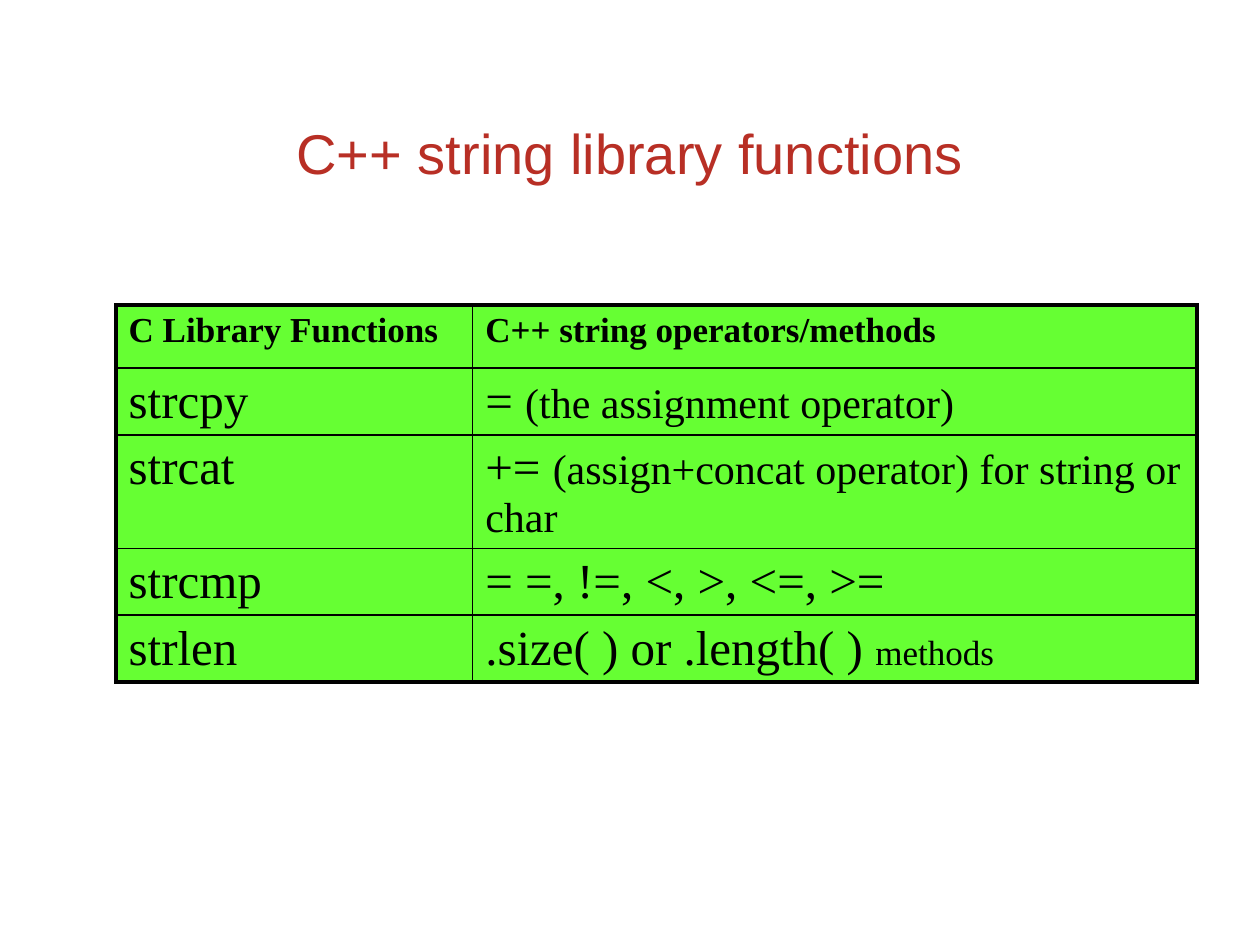
"""Build a slide that matches C string functions with C++ string operators."""
import pptx
import pptx.dml.color
import pptx.enum.text
import pptx.oxml
import pptx.oxml.ns
import pptx.util

Cm = pptx.util.Cm
Pt = pptx.util.Pt
Color = pptx.dml.color.RGBColor

RED = Color(0xB8, 0x2F, 0x25)
GREEN = Color(0x66, 0xFF, 0x33)
BLACK = Color(0, 0, 0)

HEAD = {"size": Pt(20), "bold": True}
LARGE = {"size": Pt(28), "bold": False}
MEDIUM = {"size": Pt(24), "bold": False}
SMALL = {"size": Pt(20), "bold": False}

ROWS = [
    [[("C Library Functions", HEAD)], [("C++ string operators/methods", HEAD)]],
    [[("strcpy", LARGE)],
     [("= ", LARGE), ("(the assignment operator)", MEDIUM)]],
    [[("strcat", LARGE)],
     [("+= ", LARGE), ("(assign+concat operator) for string or char", MEDIUM)]],
    [[("strcmp", LARGE)], [("= =, !=, <, >, <=, >=", LARGE)]],
    [[("strlen", LARGE)],
     [(".size( ) or .length( ) ", LARGE), ("methods", SMALL)]],
]
WIDTHS = [7.19, 14.6]
HEIGHTS = [1.27, 1.27, 1.32, 1.35, 1.3]


class Deck:
    """Hold the style and the current slide."""

    def __init__(self, file):
        """Add a title-only slide and set the shared style."""
        self.slide = file.slides.add_slide(file.slide_layouts[5])
        self.font = "Times New Roman"
        self.thin, self.thick = Pt(1), Pt(2.25)

    def apply(self, item, form):
        """Set each attribute named in a dict of format values."""
        for name, value in form.items():
            setattr(item, name, value)

    def text(self, para, words, color, form):
        """Add one styled run to a paragraph."""
        run = para.add_run()
        run.text = words
        self.apply(run.font, form)
        run.font.color.rgb = color

    def title(self, words, box):
        """Place the title and fill it."""
        shape = self.slide.shapes.title
        sides = ("left", "top", "width", "height")
        self.apply(shape, dict(zip(sides, map(Cm, box))))
        frame = shape.text_frame
        self.apply(frame, {
            "vertical_anchor": pptx.enum.text.MSO_ANCHOR.MIDDLE,
            "word_wrap": True,
        })
        para = frame.paragraphs[0]
        para.alignment = pptx.enum.text.PP_ALIGN.CENTER
        self.text(para, words, RED, {"name": "Arial", "size": Pt(32)})

    def border(self, cell, side, width):
        """Draw one solid edge of a cell."""
        space = pptx.oxml.ns.nsdecls("a")
        cell._tc.get_or_add_tcPr().append(pptx.oxml.parse_xml(
            f'<a:ln{side} {space} w="{width}"><a:solidFill>'
            f'<a:srgbClr val="{BLACK}"/></a:solidFill></a:ln{side}>'))

    def cell(self, cell, runs, outer):
        """Fill a cell with its edges, colour and text."""
        for side in "LRTB":
            self.border(cell, side, self.thick if side in outer else self.thin)
        cell.fill.solid()
        cell.fill.fore_color.rgb = GREEN
        para = cell.text_frame.paragraphs[0]
        space = pptx.oxml.ns.nsdecls("a")
        para._p.get_or_add_pPr().append(pptx.oxml.parse_xml(
            f'<a:spcBef {space}><a:spcPct val="20000"/></a:spcBef>'))
        for words, form in runs:
            self.text(para, words, BLACK, {"name": self.font, **form})

    def table(self, rows, left, top, widths, heights):
        """Add a table with a thick outer frame."""
        size = (Cm(sum(widths)), Cm(sum(heights)))
        table = self.slide.shapes.add_table(
            len(rows), len(widths), Cm(left), Cm(top), *size).table
        self.apply(table, {"first_row": False, "horz_banding": False})
        for col, width in zip(table.columns, widths):
            col.width = Cm(width)
        for row, height in zip(table.rows, heights):
            row.height = Cm(height)
        for i, row in enumerate(rows):
            for j, runs in enumerate(row):
                edges = {"T": i == 0, "B": i == len(rows) - 1,
                         "L": j == 0, "R": j == len(row) - 1}
                outer = [side for side, edge in edges.items() if edge]
                self.cell(table.cell(i, j), runs, outer)


def main():
    """Build the slide and save it."""
    file = pptx.Presentation()
    file.slide_width, file.slide_height = Cm(25.4), Cm(19.05)
    deck = Deck(file)
    deck.title("C++ string library functions", (1.9, 2.11, 21.6, 1.9))
    deck.table(ROWS, 2.34, 6.15, WIDTHS, HEIGHTS)
    file.save("out.pptx")


if __name__ == "__main__":
    main()
